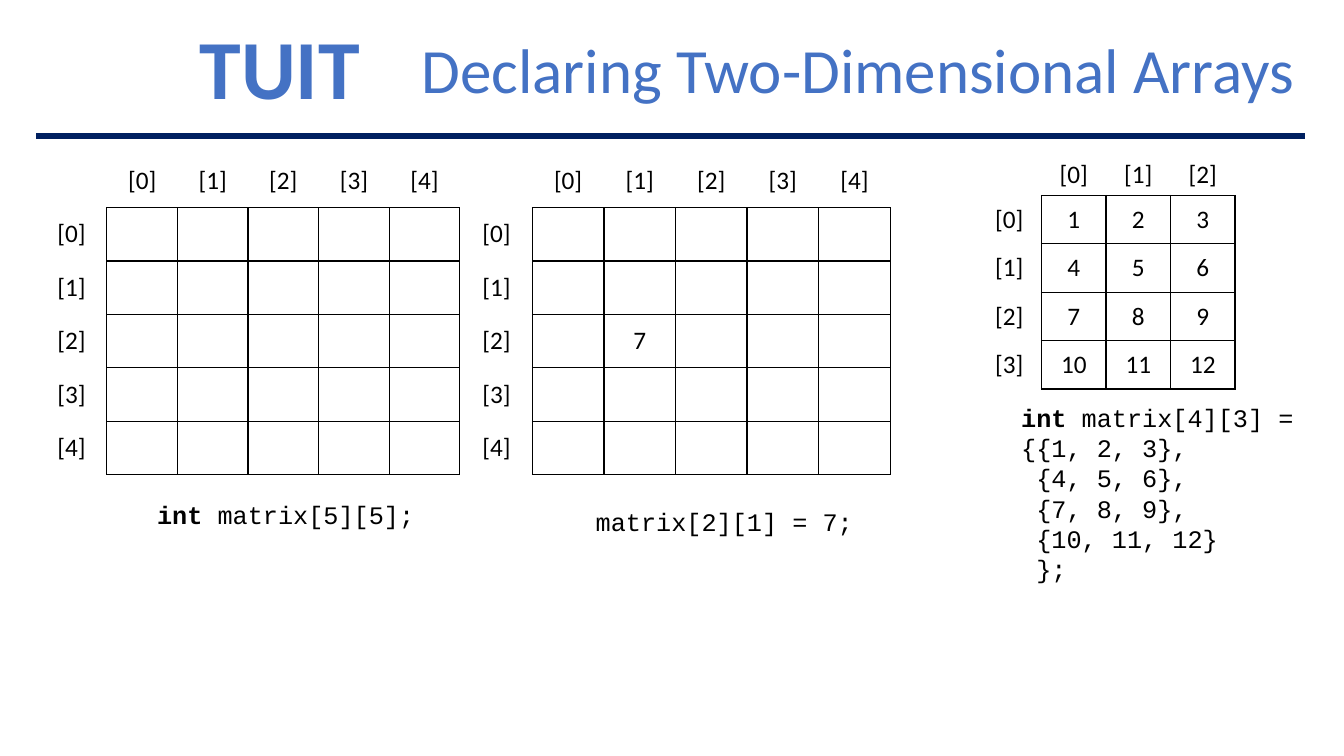
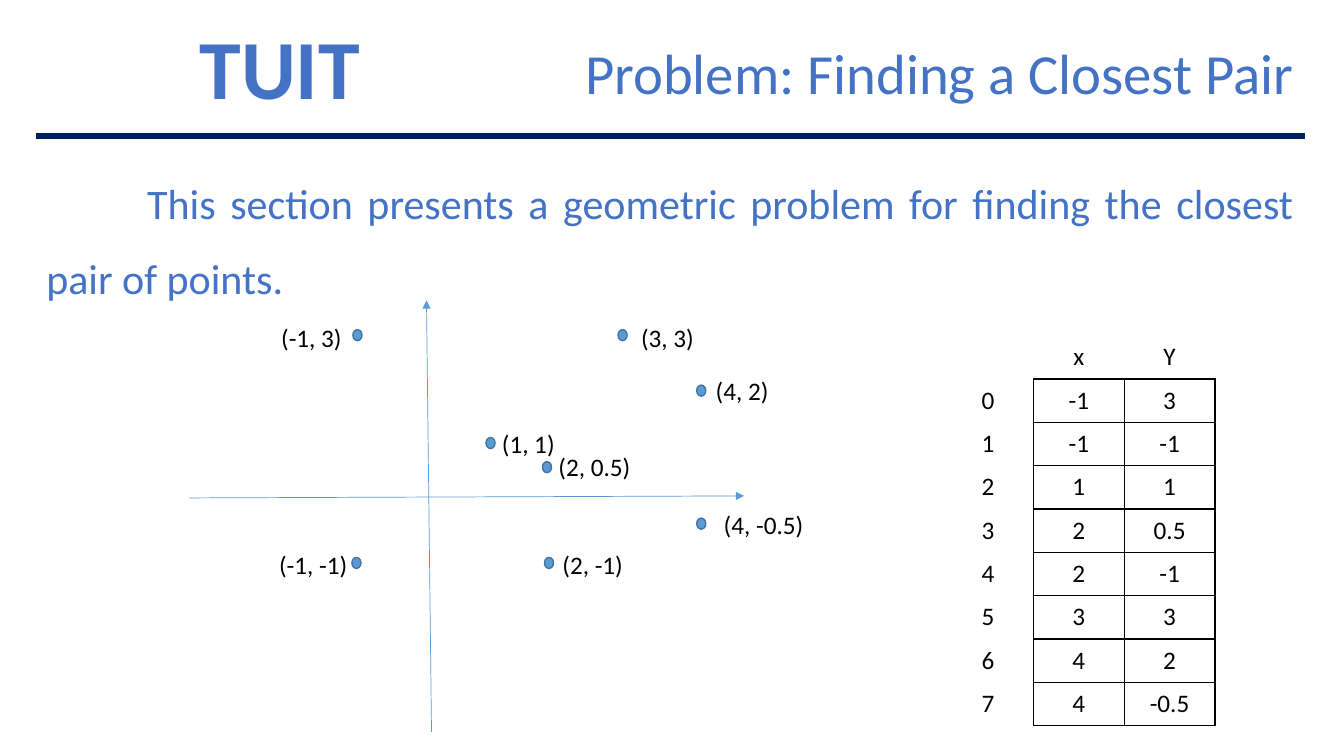
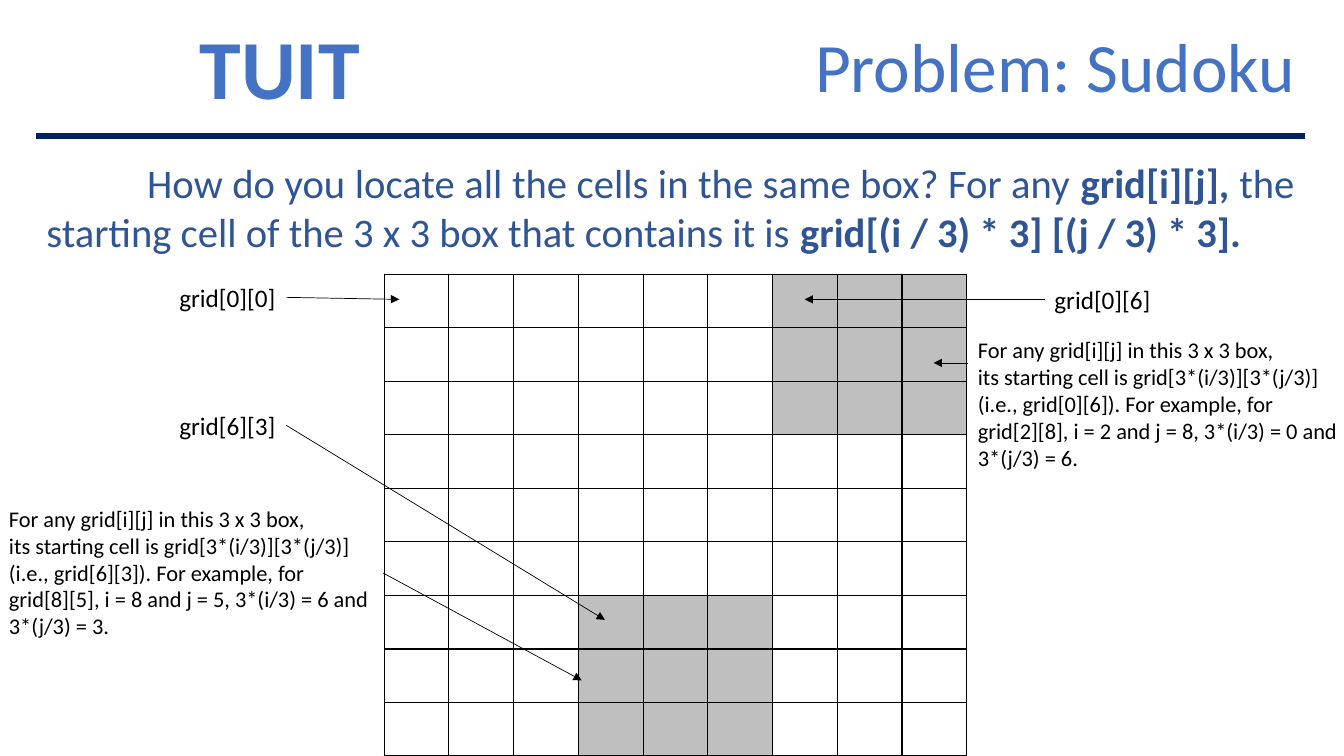
import pptx
import pptx.dml.color
import pptx.enum.shapes
import pptx.enum.text
import pptx.oxml
import pptx.oxml.ns
import pptx.util
from lxml import etree

Inches = pptx.util.Inches
Pt = pptx.util.Pt
Align = pptx.enum.text.PP_ALIGN
Anchor = pptx.enum.text.MSO_ANCHOR
AutoSize = pptx.enum.text.MSO_AUTO_SIZE
qn = pptx.oxml.ns.qn

BLUE, DARK_BLUE, NAVY = "4472C4", "2F5597", "002060"
SKY, SKY_EDGE = "5B9BD5", "43739E"
BLACK, GRAY = "000000", "BFBFBF"
NO_STYLE = "{2D5ABB26-0587-4C30-8999-92F81FD0307C}"
TOP, LEFT, RIGHT = 0, 1, 3
TITLE_RIGHT = 12.94


def color(hex_string):
    return pptx.dml.color.RGBColor.from_string(hex_string)


def write(frame, text, size=18, font="Calibri", ink=BLACK, bold=False, align=Align.LEFT,
          anchor=Anchor.TOP, spacing=1.0, indent=0, wrap=True, fit=AutoSize.NONE):
    """Fill a text frame; a newline starts a paragraph and "|" switches bold."""
    frame.word_wrap = wrap
    frame.auto_size = fit
    frame.vertical_anchor = anchor
    for number, line in enumerate(text.split("\n")):
        paragraph = frame.add_paragraph() if number else frame.paragraphs[0]
        paragraph.alignment = align
        paragraph.line_spacing = spacing
        paragraph.space_before = Pt(0)
        if indent:
            paragraph._p.get_or_add_pPr().set("indent", str(Inches(indent)))
        for position, part in enumerate(line.split("|")):
            if part:
                run = paragraph.add_run()
                run.text = part
                run.font.name = font
                run.font.size = Pt(size)
                run.font.bold = bold or position % 2 == 1
                run.font.color.rgb = color(ink)


five = [f"[{index}]" for index in range(5)]
empty_matrix = [[""] * 5 for _ in range(5)]
assigned_matrix = [["7" if (i, j) == (2, 1) else "" for j in range(5)] for i in range(5)]
counted_matrix = [[str(3 * i + j + 1) for j in range(3)] for i in range(4)]
points = [("-1", "3"), ("-1", "-1"), ("1", "1"), ("2", "0.5"),
          ("2", "-1"), ("3", "3"), ("4", "2"), ("4", "-0.5")]
box_note = ("For any grid[i][j] in this 3 x 3 box,\n"
            "its starting cell is grid[3*(i/3)][3*(j/3)]\n"
            "(i.e., grid[{0}][{1}]). For example, for\n"
            "grid[{2}][{3}], i = {2} and j = {3}, 3*(i/3) = {0} and\n"
            "3*(j/3) = {1}.")

# tables: left, top, column width, header height, row height, column heads, row heads, values
# labels: left, top, width, height, size, font, text
# arrows: start (a point, or a label number and its side), end, colour
# dots: left, top
pages = [
    dict(
        title="Declaring Two-Dimensional Arrays", title_left=3.81, title_size=45,
        tables=[(0.36, 1.53, 0.7, 0.53, 0.53, five, five, empty_matrix),
                (4.57, 1.53, 0.71, 0.53, 0.53, five, five, assigned_matrix),
                (9.69, 1.53, 0.64, 0.41, 0.48, five[:3], five[:4], counted_matrix)],
        labels=[(1.46, 4.9, 2.76, 0.4, 18, "Courier New", "|int |matrix[5][5];"),
                (5.81, 4.97, 2.76, 0.4, 18, "Courier New", "matrix[2][1] = 7;"),
                (10.03, 3.94, 2.92, 1.92, 18, "Courier New",
                 "|int |matrix[4][3] =\n{{1, 2, 3},\n {4, 5, 6},\n {7, 8, 9},\n"
                 " {10, 11, 12}\n };")],
        arrows=[], dots=[]),
    dict(
        title="Problem: Finding a Closest Pair", title_left=5.08, title_size=40.5,
        intro="This section presents a geometric problem for finding the closest pair of points.",
        intro_top=1.46, intro_height=1.52,
        intro_format=dict(size=30, ink=BLUE, spacing=1.5),
        tables=[(9.35, 3.33, 0.9, 0.43, 0.43, ["x", "Y"], [str(i) for i in range(8)], points)],
        labels=[(left, top, width, 0.4, 18, "Calibri", text) for left, top, width, text in [
            (2.69, 3.15, 0.81, "(-1, 3)"), (6.26, 3.15, 0.73, "(3, 3)"),
            (4.88, 4.2, 0.73, "(1, 1)"), (5.44, 4.43, 0.92, "(2, 0.5)"),
            (5.48, 5.4, 0.81, "(2, -1)"), (2.67, 5.4, 0.89, "(-1, -1)"),
            (7.08, 5, 1, "(4, -0.5)"), (7, 3.67, 0.73, "(4, 2)")]],
        arrows=[((1.88, 4.94), None, (7.38, 4.92), SKY),
                ((4.28, 7.26), None, (4.23, 2.98), SKY)],
        dots=[(3.49, 5.53), (3.5, 3.27), (4.82, 4.34), (5.38, 4.58),
              (5.4, 5.53), (6.13, 3.27), (6.91, 3.82), (6.91, 5.14)]),
    dict(
        title="Problem: Sudoku", title_left=4.59, title_size=49.5,
        intro="How do you locate all the cells in the same box? For any |grid[i][j], |the "
              "starting cell of the 3 x 3 box that contains it is "
              "|grid[(i / 3) * 3] [(j / 3) * 3].|",
        intro_top=1.52, intro_height=1.2,
        intro_format=dict(size=29, ink=DARK_BLUE),
        tables=[(3.81, 2.72, 5.78 / 9, 0, 4.78 / 9, [], [], [[""] * 9 for _ in range(9)])],
        shaded_boxes=[(0, 2), (2, 1)],
        labels=[(1.68, 2.75, 1.16, 0.4, 18, "Calibri", "grid[0][0]"),
                (1.68, 4.02, 1.16, 0.4, 18, "Calibri", "grid[6][3]"),
                (10.36, 2.77, 1.16, 0.4, 18, "Calibri", "grid[0][6]"),
                (-0.01, 4.96, 3.81, 1.45, 16, "Calibri", box_note.format(6, 3, 8, 5)),
                (9.6, 3.29, 3.81, 1.45, 16, "Calibri", box_note.format(0, 6, 2, 8))],
        arrows=[((2.84, 2.97), (0, RIGHT), (3.96, 2.97), BLACK),
                ((2.84, 4.22), (1, RIGHT), (6, 6.15), BLACK),
                ((10.36, 2.97), (2, LEFT), (7.98, 2.97), BLACK),
                ((3.8, 5.69), (3, RIGHT), (5.77, 6.75), BLACK),
                ((9.6, 3.6), None, (9.26, 3.6), BLACK)],
        dots=[]),
]

presentation = pptx.Presentation()
presentation.slide_width = Inches(13.33)
presentation.slide_height = Inches(7.5)

for page in pages:
    layout = presentation.slide_layouts[0 if "intro" in page else 5]
    slide = presentation.slides.add_slide(layout)
    shapes = slide.shapes

    title = shapes.title
    title.left, title.top = Inches(page["title_left"]), Inches(0.33)
    title.width, title.height = Inches(TITLE_RIGHT - page["title_left"]), Inches(0.75)
    write(title.text_frame, page["title"], size=page["title_size"], ink=BLUE,
          align=Align.RIGHT, anchor=Anchor.BOTTOM, spacing=0.7)

    school = shapes.add_textbox(Inches(1.88), Inches(0.26), Inches(1.93), Inches(0.81))
    write(school.text_frame, "TUIT", size=60, ink=BLUE, bold=True,
          align=Align.JUSTIFY, spacing=0.85)

    if "intro" in page:
        intro = slide.placeholders[1]
        intro.left, intro.top = Inches(0.36), Inches(page["intro_top"])
        intro.width, intro.height = Inches(12.58), Inches(page["intro_height"])
        write(intro.text_frame, page["intro"], align=Align.JUSTIFY, indent=1,
              **page["intro_format"])

    for left, top, width, head_height, row_height, heads, row_heads, values in page["tables"]:
        headed = bool(heads)
        rows = values
        if headed:
            rows = [["", *heads]] + [[head, *row] for head, row in zip(row_heads, values)]
        column_count = len(rows[0])
        frame = shapes.add_table(len(rows), column_count, Inches(left), Inches(top),
                                 Inches(width * column_count),
                                 Inches(head_height + row_height * len(values)))
        table = frame.table
        table.first_row = table.horz_banding = False
        table._tbl.tblPr.find(qn("a:tableStyleId")).text = NO_STYLE
        for column in table.columns:
            column.width = Inches(width)
        for i, row in enumerate(rows):
            table.rows[i].height = Inches(head_height if headed and i == 0 else row_height)
            for j, value in enumerate(row):
                cell = table.cell(i, j)
                cell.vertical_anchor = Anchor.MIDDLE
                if value:
                    write(cell.text_frame, value, align=Align.CENTER, anchor=Anchor.MIDDLE)
                    cell.vertical_anchor = Anchor.MIDDLE
                sides = "LRTB"
                if headed and i == 0:
                    sides = "B" if j else ""
                elif headed and j == 0:
                    sides = "R"
                for side in sides:
                    border = etree.SubElement(cell._tc.get_or_add_tcPr(), qn(f"a:ln{side}"),
                                              w=str(Pt(1)))
                    paint = etree.SubElement(border, qn("a:solidFill"))
                    etree.SubElement(paint, qn("a:srgbClr"), val=BLACK)
                if (i // 3, j // 3) in page.get("shaded_boxes", []):
                    cell.fill.solid()
                    cell.fill.fore_color.rgb = color(GRAY)
                else:
                    cell.fill.background()

    labels = []
    for left, top, width, height, size, font, text in page["labels"]:
        label = shapes.add_textbox(Inches(left), Inches(top), Inches(width), Inches(height))
        write(label.text_frame, text, size=size, font=font, wrap=False,
              fit=AutoSize.SHAPE_TO_FIT_TEXT)
        labels.append(label)

    rule = ((0.36, 1.35), None, (TITLE_RIGHT, 1.35), NAVY)
    for line in [rule, *page["arrows"]]:
        start, joint, end, ink = line
        connector = shapes.add_connector(
            pptx.enum.shapes.MSO_CONNECTOR.STRAIGHT,
            *(Inches(length) for length in (*start, *end)))
        if joint:
            connector.begin_connect(labels[joint[0]], joint[1])
        connector.line.color.rgb = color(ink)
        connector.line.width = Pt(4.5 if line is rule else 0.5)
        if line is not rule:
            etree.SubElement(connector.line._get_or_add_ln(), qn("a:tailEnd"), type="triangle")
        etree.SubElement(connector._element.spPr, qn("a:effectLst"))

    for left, top in page["dots"]:
        dot = shapes.add_shape(pptx.enum.shapes.MSO_SHAPE.OVAL, Inches(left), Inches(top),
                               Inches(0.09), Inches(0.11))
        dot.shadow.inherit = False
        dot.fill.solid()
        dot.fill.fore_color.rgb = color(SKY)
        dot.line.color.rgb = color(SKY_EDGE)
        dot.line.width = Pt(1)

presentation.save("out.pptx")
